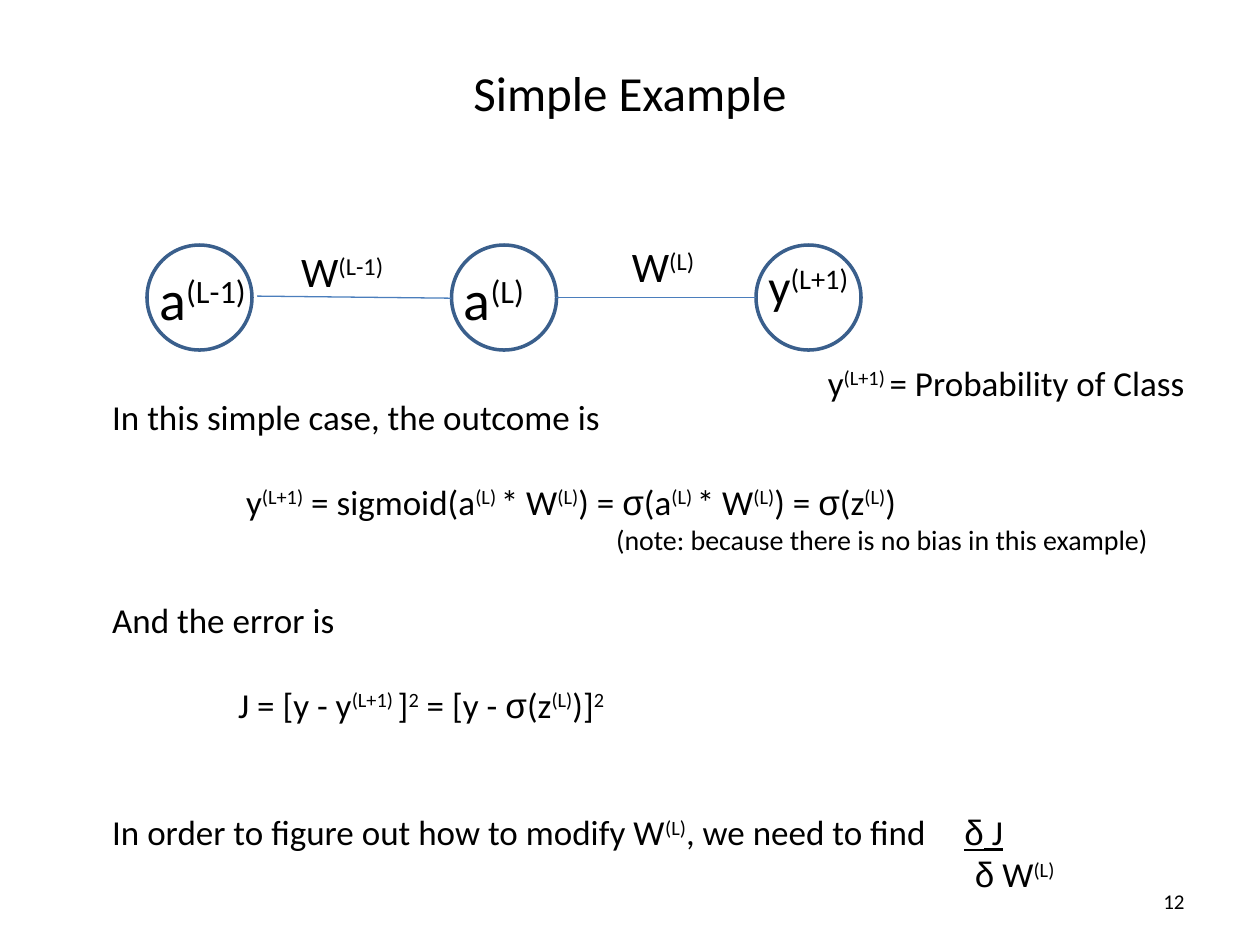
from itertools import groupby

from lxml.etree import SubElement
from pptx import Presentation
from pptx.dml.color import RGBColor
from pptx.enum.shapes import MSO_CONNECTOR as Connector, MSO_SHAPE as Shape
from pptx.enum.text import MSO_ANCHOR as Anchor, PP_ALIGN as Align
from pptx.oxml.ns import qn
from pptx.util import Pt

GREEK = "σδ"
BLANK_LINE = 24.4


def color(hex_string):
    return RGBColor.from_string(hex_string)


def write(para, text, size=20, align=Align.LEFT, underline=None):
    """Add text to para; parts between bars are superscript, Greek is Arial."""
    para.alignment = align
    for index, part in enumerate(text.split("|")):
        for is_greek, letters in groupby(part, key=lambda letter: letter in GREEK):
            span = para.add_run()
            span.text = "".join(letters)
            span.font.size = Pt(size)
            span.font.name = "Arial" if is_greek else "Calibri"
            span.font.color.rgb = color("000000")
            span.font.underline = underline
            if index % 2:
                span.font._element.set("baseline", "30000")


deck = Presentation()
deck.slide_width, deck.slide_height = Pt(720), Pt(540)
page = deck.slides.add_slide(deck.slide_layouts[5])

title = page.shapes.title
title.left, title.top, title.width, title.height = Pt(36), Pt(30), Pt(648), Pt(45)
title.text_frame.vertical_anchor = Anchor.MIDDLE
write(title.text_frame.paragraphs[0], "Simple Example", size=28, align=Align.CENTER)

# Network: three neurons joined by two weights
for column in range(3):
    neuron = page.shapes.add_shape(
        Shape.OVAL, Pt(84 + 174 * column), Pt(140), Pt(60), Pt(60))
    neuron.shadow.inherit = False
    neuron.fill.background()
    neuron.line.color.rgb = color("3A5F8C")
    neuron.line.width = Pt(2)

for x1, y1, x2, y2 in [(147, 169.2, 258, 170.4), (318, 170, 432, 170)]:
    weight = page.shapes.add_connector(
        Connector.STRAIGHT, Pt(x1), Pt(y1), Pt(x2), Pt(y2))
    weight.line.color.rgb = color("4B7EBC")
    weight.line.width = Pt(0.75)
    SubElement(weight._element.spPr, qn("a:effectLst"))

# Single-line texts: left, top, width, height, text, size, alignment, wrap
labels = [
    (84, 147.6, 70, 46, "a|(L-1)", 32, Align.LEFT, False),
    (258, 147.6, 52.5, 46, "a|(L)", 32, Align.LEFT, False),
    (432, 142.5, 76, 41, "y|(L+1)", 28, Align.LEFT, True),
    (165, 137, 66, 36, "W|(L-1)", 24, Align.LEFT, False),
    (354, 134, 52.5, 36, "W|(L)", 24, Align.LEFT, False),
    (432, 203, 286, 31.5, "y|(L+1) |= Probability of Class", 20, Align.CENTER, True),
    (516, 500.5, 168, 28.8, "12", 12, Align.RIGHT, True),
]
for left, top, width, height, text, size, align, wrap in labels:
    box = page.shapes.add_textbox(Pt(left), Pt(top), Pt(width), Pt(height))
    box.text_frame.word_wrap = wrap
    if text == "12":
        box.text_frame.vertical_anchor = Anchor.MIDDLE
    write(box.text_frame.paragraphs[0], text, size=size, align=align)

# Derivation: text, size, indent, blank lines before
steps = [
    ("In this simple case, the outcome is", 20, 0, 0),
    ("y|(L+1)| = sigmoid(a|(L) |* W|(L)|) = σ(a|(L) |* W|(L)|) = σ(z|(L)|)", 20, 76.5, 1),
    ("(note: because there is no bias in this example)", 16, 288, 0),
    ("And the error is", 20, 0, 1),
    ("J = [y - y|(L+1) |]|2| = [y - σ(z|(L)|)]|2", 20, 72, 1),
    ("In order to figure out how to modify W|(L)|, we need to find\t", 20, 0, 2),
    ("δ W|(L)", 20, 493, 0),
]
derivation = page.shapes.add_textbox(Pt(57), Pt(222.5), Pt(636), Pt(282))
frame = derivation.text_frame
frame.word_wrap = True
for index, (text, size, indent, blanks) in enumerate(steps):
    para = frame.add_paragraph() if index else frame.paragraphs[0]
    para.space_before = Pt(BLANK_LINE * blanks)
    properties = para._p.get_or_add_pPr()
    properties.set("marL", str(Pt(indent)))
    if text.endswith("\t"):
        tabs = SubElement(properties, qn("a:tabLst"))
        SubElement(tabs, qn("a:tab"), pos=str(Pt(487)), algn="l")
    write(para, text, size=size)
    if text.endswith("\t"):
        write(para, "δ J", underline=True)

deck.save("out.pptx")
